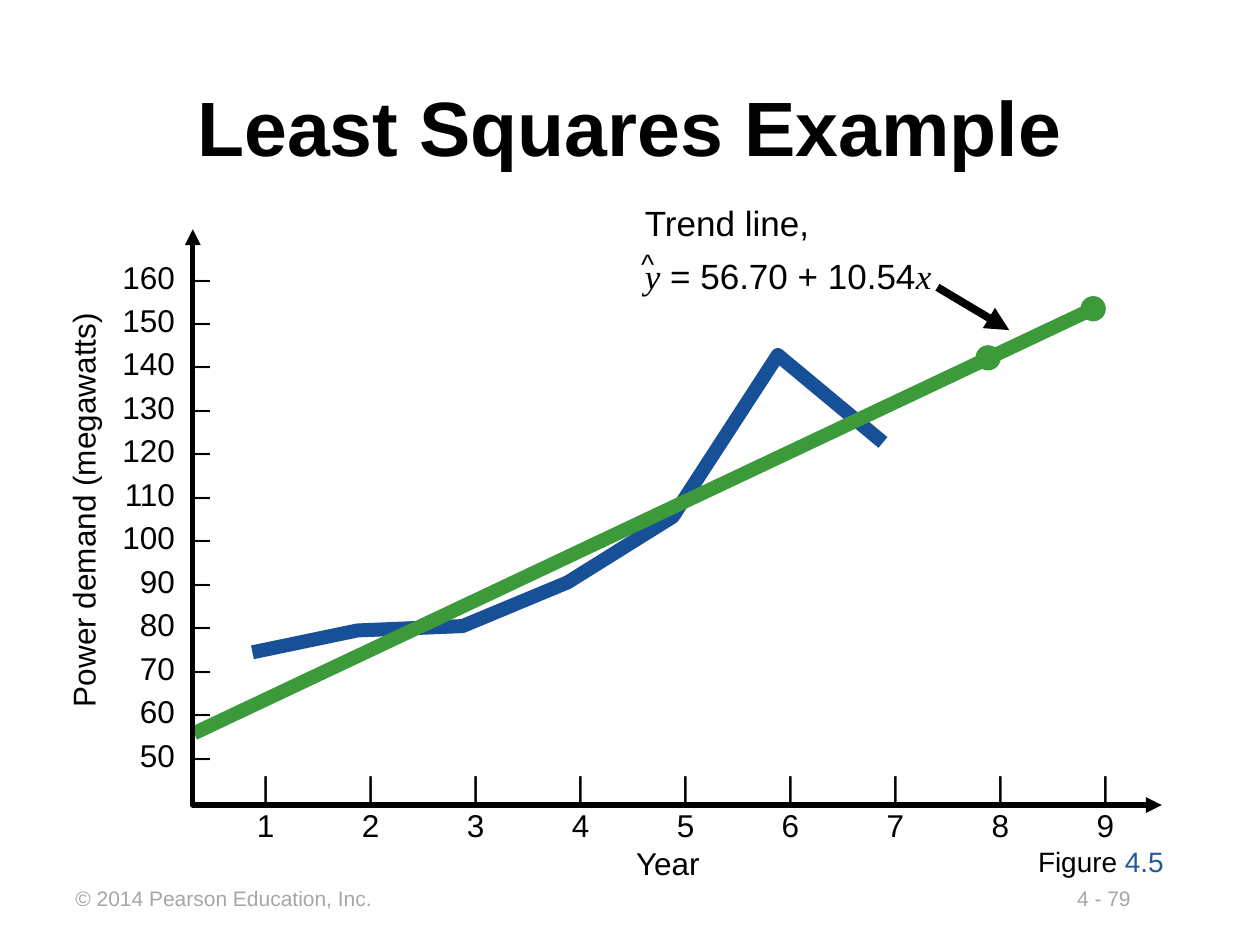
from dataclasses import dataclass

from lxml import etree
from pptx import Presentation
from pptx.dml.color import RGBColor
from pptx.enum.shapes import MSO_CONNECTOR, MSO_SHAPE
from pptx.enum.text import MSO_ANCHOR, PP_ALIGN
from pptx.oxml.ns import qn
from pptx.util import Inches, Pt

STRAIGHT = MSO_CONNECTOR.STRAIGHT
OVAL = MSO_SHAPE.OVAL
MIDDLE, TOP = MSO_ANCHOR.MIDDLE, MSO_ANCHOR.TOP
LEFT, CENTER = PP_ALIGN.LEFT, PP_ALIGN.CENTER


@dataclass(frozen=True)
class Theme:
    black: str = "000000"
    grey: str = "A6A6A6"
    demand: str = "175097"
    trend: str = "3D9A3A"
    figure: str = "255898"
    sans: str = "Arial"
    serif: str = "Times New Roman"
    title: int = 44
    formula: int = 20
    axis: int = 18
    small: int = 16
    footer: int = 12


@dataclass(frozen=True)
class Box:
    left: float
    top: float
    width: float
    height: float

    def inner(self, x, y, width, height):
        return Box(self.left + x, self.top + y, width, height)

    def point(self, x, y):
        return Inches(self.left + x), Inches(self.top + y)

    def lengths(self):
        return [Inches(v) for v in (self.left, self.top, self.width, self.height)]


THEME = Theme()
DEMAND = [74, 79, 80, 90, 105, 142, 122]
YEAR_ORIGIN, YEAR_STEP = -0.36, 0.834
LEVEL_50, INCH_PER_MEGAWATT = 4.19, 0.0347


def add_text(page, box, size, paras, color=THEME.black, align=LEFT, bold=False,
             anchor=TOP, tabs=(), spacing=None, after=0):
    shape = page.shapes.add_textbox(*box.lengths())
    frame = shape.text_frame
    frame.word_wrap = True
    frame.vertical_anchor = anchor
    if align == LEFT:
        frame.margin_right = 0
    for index, spans in enumerate(paras):
        para = frame.paragraphs[0] if index == 0 else frame.add_paragraph()
        para.alignment = align
        para.space_after = Pt(after)
        if spacing:
            para.line_spacing = spacing
        if tabs:
            stops = etree.SubElement(para._p.get_or_add_pPr(), qn("a:tabLst"))
            for position, kind in tabs:
                etree.SubElement(stops, qn("a:tab"), pos=str(Inches(position)), algn=kind)
        for text, style in spans:
            span = para.add_run()
            span.text = text
            font = span.font
            font.size = Pt(size)
            font.bold = bold
            font.italic = style.get("italic", False)
            font.name = style.get("name", THEME.sans)
            font.color.rgb = RGBColor.from_string(style.get("color", color))
    return shape


def style_line(shape, color, width, ends=()):
    shape.line.color.rgb = RGBColor.from_string(color)
    shape.line.width = Pt(width)
    outline = shape.line._get_or_add_ln()
    for end in ends:
        etree.SubElement(outline, qn(f"a:{end}"), type="triangle")


def add_path(page, points, color, width, ends=()):
    builder = page.shapes.build_freeform(*points[0])
    builder.add_line_segments(points[1:], close=False)
    shape = builder.convert_to_shape()
    shape.fill.background()
    shape.shadow.inherit = False
    style_line(shape, color, width, ends)


def add_line(page, start, end, color, width, ends=()):
    line = page.shapes.add_connector(STRAIGHT, *start, *end)
    style_line(line, color, width, ends)
    etree.SubElement(line._element.spPr, qn("a:effectLst"))


def year_x(year):
    return YEAR_ORIGIN + YEAR_STEP * year


def add_series(page, box):
    demand = [box.point(year_x(year), LEVEL_50 - (level - 50) * INCH_PER_MEGAWATT)
              for year, level in enumerate(DEMAND, 1)]
    add_path(page, demand, THEME.demand, 8)

    add_line(page, box.point(year_x(9), 0.63), box.point(0.01, 4), THEME.trend, 8)
    diameter = 0.19
    for year, y in ((8, 1.02), (9, 0.63)):
        corner = box.inner(year_x(year) - diameter / 2, y - diameter / 2, diameter, diameter)
        dot = page.shapes.add_shape(OVAL, *corner.lengths())
        dot.shadow.inherit = False
        dot.fill.solid()
        dot.fill.fore_color.rgb = RGBColor.from_string(THEME.trend)
        style_line(dot, THEME.trend, 0.75)


def add_axes(page, box):
    corners = [box.point(0, 0), box.point(0, box.height), box.point(box.width, box.height)]
    add_path(page, corners, THEME.black, 3, ("headEnd", "tailEnd"))

    years = range(1, 10)
    year_rows = ["\t|" * len(years), "".join(f"\t{year}" for year in years)]
    add_text(page, box.inner(0.16, 4.23, 7.25, 0.7), THEME.axis,
             [[(row, {})] for row in year_rows],
             tabs=[(0.32 + 0.833 * step, "ctr") for step in range(len(years))])
    add_text(page, box.inner(-0.66, 0.13, 0.89, 4.24), THEME.axis,
             [[(f"\t{level}\t–", {})] for level in range(160, 40, -10)],
             spacing=1.15, tabs=[(0.42, "r"), (0.56, "l")])
    add_text(page, box.inner(3.42, 4.83, 0.73, 0.4), THEME.axis, [[("Year", {})]])
    caption = add_text(page, box.inner(-2.53, 2.03, 3.32, 0.4), THEME.axis,
                       [[("Power demand (megawatts)", {})]])
    caption.rotation = 270


def add_trend_label(page, box):
    variable = {"name": THEME.serif, "italic": True}
    formula = [("y", variable), (" = 56.70 + 10.54", {}), ("x", variable)]
    add_text(page, box, THEME.formula, [[("Trend line,", {})], formula], after=6)
    add_text(page, box.inner(-0.03, 0.36, 0.3, 0.37), THEME.small, [[("^", {})]])
    add_line(page, box.point(2.42, 0.73), box.point(2.99, 1.07), THEME.black, 4.5, ("tailEnd",))


def add_footer(page, box):
    add_text(page, box.inner(7.95, 0, 1.2, 0.3), THEME.footer, [[("4 - 79", {})]], THEME.grey)
    add_text(page, box.inner(0, 0, 2.55, 0.3), THEME.footer,
             [[("© 2014 Pearson Education, Inc.", {})]], THEME.grey)


def add_title(page, box):
    add_text(page, box, THEME.title, [[("Least Squares Example", {})]],
             align=CENTER, bold=True, anchor=MIDDLE)


def add_figure_number(page, box):
    add_text(page, box, THEME.small, [[("Figure ", {}), ("4.5", {"color": THEME.figure})]])


def main():
    deck = Presentation()
    deck.slide_width, deck.slide_height = Inches(10), Inches(7.5)
    page = deck.slides.add_slide(deck.slide_layouts[6])
    plot = Box(1.53, 1.82, 7.69, 4.57)
    add_footer(page, Box(0.5, 6.98, 9.15, 0.3))
    add_title(page, Box(0.75, 0.49, 8.5, 1.01))
    add_series(page, plot)
    add_axes(page, plot)
    add_trend_label(page, Box(5.02, 1.55, 2.47, 0.85))
    add_figure_number(page, Box(8.14, 6.65, 1.2, 0.37))
    deck.save("out.pptx")


if __name__ == "__main__":
    main()
